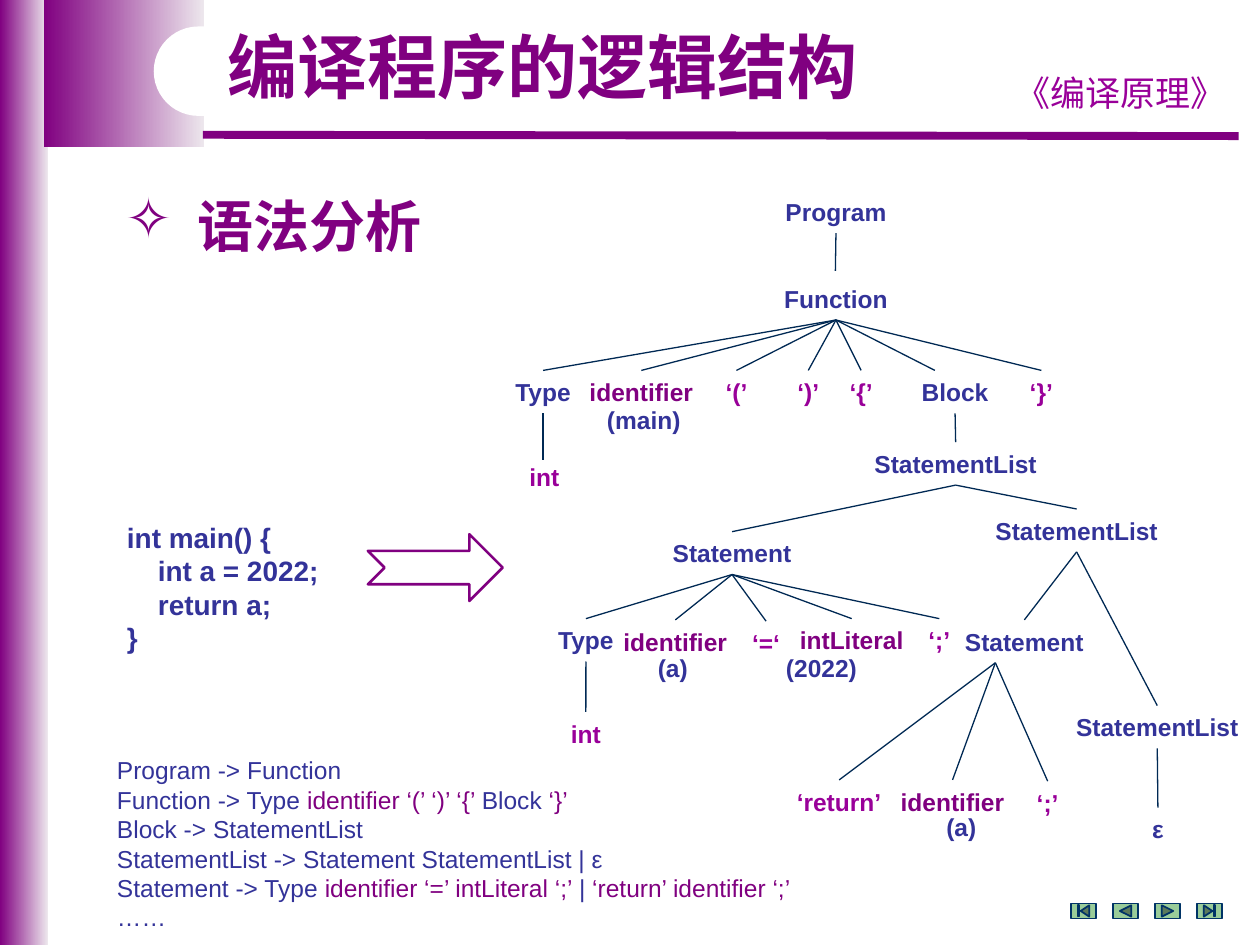
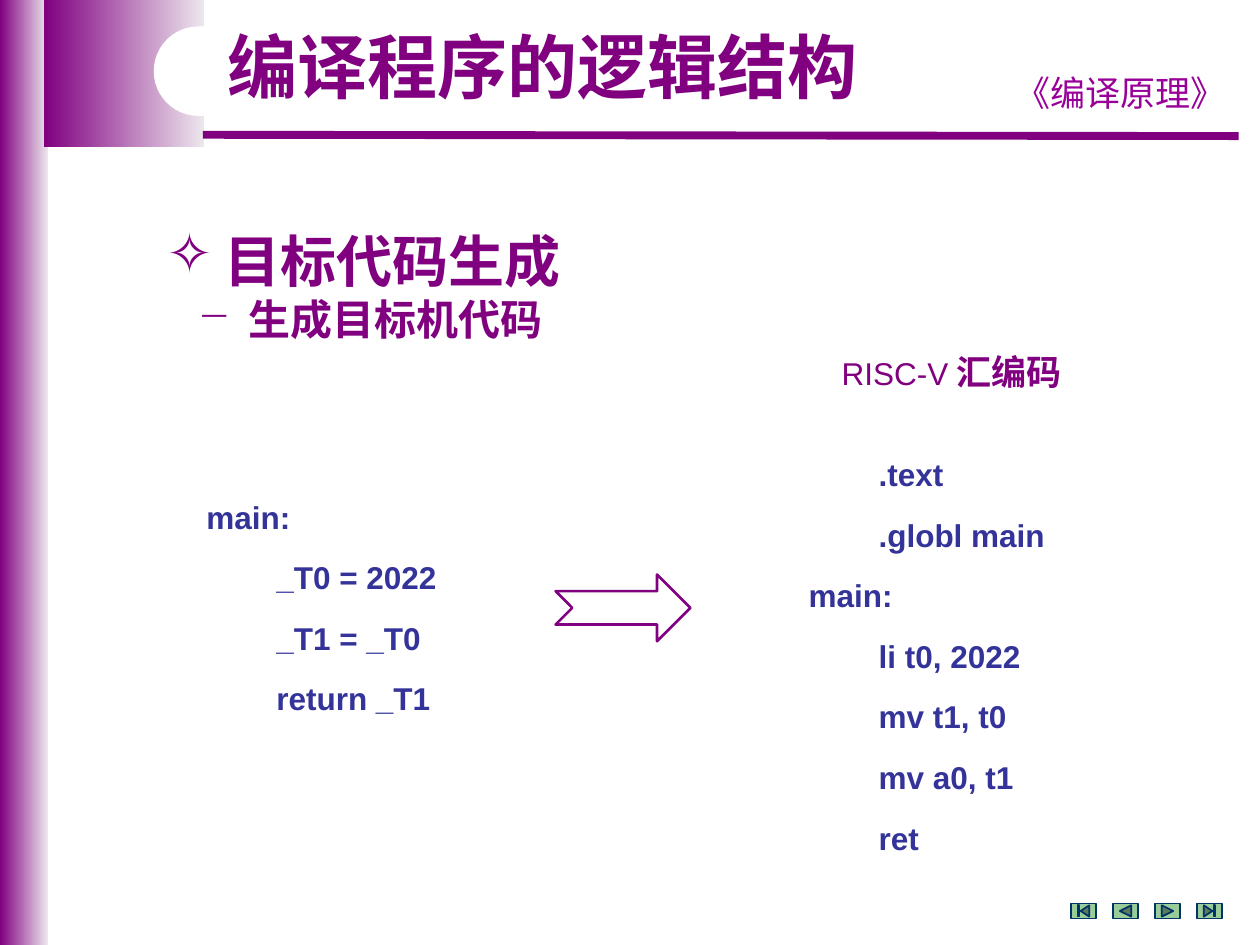
from itertools import cycle

from lxml import etree
from pptx import Presentation
from pptx.dml.color import RGBColor
from pptx.enum.shapes import MSO_CONNECTOR, MSO_SHAPE
from pptx.enum.text import MSO_ANCHOR, PP_ALIGN
from pptx.oxml.ns import qn
from pptx.util import Inches, Pt

RECT = MSO_SHAPE.RECTANGLE
PILL = MSO_SHAPE.ROUNDED_RECTANGLE
ARROW = MSO_SHAPE.NOTCHED_RIGHT_ARROW
BUTTONS = [
    MSO_SHAPE.ACTION_BUTTON_BEGINNING,
    MSO_SHAPE.ACTION_BUTTON_BACK_OR_PREVIOUS,
    MSO_SHAPE.ACTION_BUTTON_FORWARD_OR_NEXT,
    MSO_SHAPE.ACTION_BUTTON_END,
]
STRAIGHT = MSO_CONNECTOR.STRAIGHT
LEFT, CENTER = PP_ALIGN.LEFT, PP_ALIGN.CENTER
MIDDLE = MSO_ANCHOR.MIDDLE
TOP, BOTTOM = 0, 2
LATIN, HAN = "Arial", "Noto Sans CJK SC"
HUES = {
    "plum": "800080",
    "mauve": "990099",
    "navy": "333399",
    "pale": "EDE7ED",
    "white": "FFFFFF",
    "edge": "002954",
    "green": "99CC99",
    "rim": "003366",
}

NODES = {
    "program": ("Program", 6.05, 1.51, 1.17, "navy"),
    "function": ("Function", 5.57, 2.2, 2.13, "navy"),
    "type": ("Type", 3.96, 2.94, 0.7, "navy"),
    "name": ("identifier", 4.54, 2.94, 1.1, "plum"),
    "open": ("‘(’", 5.57, 2.94, 0.55, "mauve"),
    "close": ("‘)’", 6.15, 2.94, 0.53, "mauve"),
    "begin": ("‘{’", 6.57, 2.94, 0.53, "mauve"),
    "block": ("Block", 7.03, 2.94, 1.1, "navy"),
    "end": ("‘}’", 8, 2.94, 0.53, "mauve"),
    "main": ("(main)", 4.56, 3.16, 1.1, "navy"),
    "int": ("int", 3.77, 3.61, 1.1, "mauve"),
    "list": ("StatementList", 6.81, 3.51, 1.55, "navy"),
    "list 2": ("StatementList", 7.77, 4.04, 1.55, "navy"),
    "list 3": ("StatementList", 8.41, 5.6, 1.55, "navy"),
    "empty": ("ε", 8.62, 6.41, 1.14, "navy"),
    "state": ("Statement", 5.24, 4.22, 1.14, "navy"),
    "type 2": ("Type", 4.3, 4.91, 0.7, "navy"),
    "int 2": ("int", 4.1, 5.65, 1.1, "mauve"),
    "name 2": ("identifier", 4.81, 4.92, 1.1, "plum"),
    "a": ("(a)", 4.79, 5.13, 1.1, "navy"),
    "equal": ("‘=‘", 5.81, 4.93, 0.54, "mauve"),
    "value": ("intLiteral", 6.21, 4.91, 1.1, "plum"),
    "2022": ("(2022)", 5.97, 5.13, 1.1, "navy"),
    "semi": ("‘;’", 7.19, 4.91, 0.53, "mauve"),
    "state 2": ("Statement", 7.56, 4.92, 1.14, "navy"),
    "return": ("‘return’", 6.11, 6.19, 1.1, "mauve"),
    "name 3": ("identifier", 7.01, 6.19, 1.1, "plum"),
    "a 2": ("(a)", 7.08, 6.39, 1.1, "navy"),
    "semi 2": ("‘;’", 8.05, 6.2, 0.53, "mauve"),
}
TREE = {
    "program": ["function"],
    "function": ["type", "name", "open", "close", "begin", "block", "end"],
    "type": ["int"],
    "block": ["list"],
    "list": ["state", "list 2"],
    "list 2": ["state 2", "list 3"],
    "list 3": ["empty"],
    "state": ["type 2", "name 2", "equal", "value", "semi"],
    "type 2": ["int 2"],
    "state 2": ["return", "name 3", "semi 2"],
}
STARTS = {"state 2": (7.9, 5.26)}
ENDS = {"function": (6.63, 2.15), "block": (7.42, 2.94), "int": (4.31, 3.65)}

SOURCE = ["int main() {", "    int a = 2022;", "    return a;", "}"]
GRAMMAR = [
    "Program -> Function",
    ("Function -> Type ", "identifier ‘(’ ‘)’ ‘{’ ", "Block ", "‘}’"),
    "Block -> StatementList",
    "StatementList -> Statement StatementList | ε",
    ("Statement -> Type ", "identifier ‘=’ intLiteral ‘;’ ", "| ",
     "‘return’ identifier ‘;’"),
    "……",
]
MIDCODE = ["main:", "        _T0 = 2022", "        _T1 = _T0",
           "        return _T1"]
TARGET = ["        .text", "        .globl main", "main:",
          "        li t0, 2022", "        mv t1, t0", "        mv a0, t1",
          "        ret"]


def tint(name):
    return RGBColor.from_string(HUES[name])


class Deck:
    def __init__(self):
        self.file = Presentation()
        self.file.slide_width = Inches(10)
        self.file.slide_height = Inches(7.5)
        self.slide = None

    def start(self, title):
        layout = self.file.slide_layouts[6]
        self.slide = self.file.slides.add_slide(layout)
        self.band(0, 0, 0.38, 7.5)
        self.band(0.35, 0, 1.27, 1.17)
        self.line((1.61, 1.07), (9.83, 1.08), "plum", 4.5)
        self.text((7.91, 0.52, 1.97, 0.43), ["《编译原理》"], 20, "mauve",
                  font=HAN, align=CENTER)
        pill = self.shape(PILL, (1.22, 0.21, 3.62, 0.71), "white")
        pill.adjustments[0] = 0.5
        head = self.text((1.65, 0.21, 5.31, 0.7), [title], 40, "plum",
                         bold=True, align=CENTER)
        head.paragraphs[0].line_spacing = 0.9
        for i, kind in enumerate(BUTTONS):
            self.shape(kind, (8.5 + i / 3, 7.17, 0.2, 0.12), "green", "rim", 1)

    def shape(self, kind, box, fill=None, rim=None, width=1.5):
        item = self.slide.shapes.add_shape(kind, *map(Inches, box))
        item.shadow.inherit = False
        if fill:
            item.fill.solid()
            item.fill.fore_color.rgb = tint(fill)
        else:
            item.fill.background()
        if rim:
            item.line.color.rgb = tint(rim)
            item.line.width = Pt(width)
        else:
            item.line.fill.background()
        return item

    def band(self, *box):
        fill = self.shape(RECT, box).fill
        fill.gradient()
        fill.gradient_angle = 0
        for stop, name, spot in zip(fill.gradient_stops, ("plum", "pale"), (0, 1)):
            stop.color.rgb = tint(name)
            stop.position = spot

    def arrow(self, left, top):
        item = self.shape(ARROW, (left, top, 1.07, 0.53), rim="plum")
        item.adjustments[0] = 0.5
        item.adjustments[1] = 0.5

    def line(self, start, end, hue="edge", width=0.75):
        item = self.slide.shapes.add_connector(
            STRAIGHT, *map(Inches, (*start, *end)))
        item.line.color.rgb = tint(hue)
        item.line.width = Pt(width)
        etree.SubElement(item._element.spPr, qn("a:effectLst"))
        return item

    def text(self, box, paras, size, hue, bold=False, font=LATIN,
             align=LEFT, pad=0.1, gap=0):
        frame = self.slide.shapes.add_textbox(*map(Inches, box)).text_frame
        frame.word_wrap = True
        frame.vertical_anchor = MIDDLE
        frame.margin_left = frame.margin_right = Inches(pad)
        for i, parts in enumerate(paras):
            para = frame.add_paragraph() if i else frame.paragraphs[0]
            para.alignment = align
            if i:
                para.space_before = Pt(gap)
            parts = [parts] if isinstance(parts, str) else parts
            for part, name in zip(parts, cycle((hue, "plum"))):
                run = para.add_run()
                run.text = part
                self.style(run, size, name, bold, font)
        return frame

    def style(self, run, size, hue, bold, font):
        run.font.size = Pt(size)
        run.font.bold = bold
        run.font.color.rgb = tint(hue)
        run.font.name = font
        han = etree.SubElement(run._r.get_or_add_rPr(), qn("a:ea"))
        han.set("typeface", HAN)

    def bullet(self, para, mark, left, hang):
        props = para._p.get_or_add_pPr()
        props.set("marL", str(Inches(left)))
        props.set("indent", str(-Inches(hang)))
        color = etree.SubElement(props, qn("a:buClr"))
        etree.SubElement(color, qn("a:srgbClr")).set("val", HUES["plum"])
        etree.SubElement(props, qn("a:buChar")).set("char", mark)

    def tree(self):
        boxes = {}
        for key, (label, left, top, width, hue) in NODES.items():
            frame = self.text((left, top, width, 0.34), [label], 14, hue,
                              bold=True, align=CENTER, pad=0)
            boxes[key] = frame._parent
        for root, kids in TREE.items():
            for kid in kids:
                link = self.line(STARTS.get(root, (0, 0)), ENDS.get(kid, (0, 0)))
                if root not in STARTS:
                    link.begin_connect(boxes[root], BOTTOM)
                if kid not in ENDS:
                    link.end_connect(boxes[kid], TOP)


def main():
    deck = Deck()
    title = "编译程序的逻辑结构"

    deck.start(title)
    topic = deck.text((0.9, 1.47, 8.82, 0.63), ["语法分析"], 32, "plum",
                      bold=True, font=HAN)
    deck.bullet(topic.paragraphs[0], "✧", 0.57, 0.57)
    deck.arrow(2.92, 4.24)
    deck.text((0.91, 4.07, 2.13, 1.18), SOURCE, 16, "navy", bold=True)
    deck.text((0.83, 5.94, 5.68, 1.51), GRAMMAR, 14, "navy")
    deck.tree()

    deck.start(title)
    topic = deck.text((1.22, 1.7, 5.98, 1.13),
                      ["目标代码生成", "生成目标机代码"], 32, "plum", bold=True)
    deck.bullet(topic.paragraphs[0], "✧", 0.46, 0.46)
    deck.bullet(topic.paragraphs[1], "−", 0.65, 0.4)
    topic.paragraphs[1].runs[0].font.size = Pt(24)
    label = deck.text((6.68, 2.73, 1.94, 0.43), [("RISC-V", " 汇编码")], 18,
                      "plum", pad=0)
    han = label.paragraphs[0].runs[1].font
    han.size, han.bold, han.name = Pt(20), True, HAN
    deck.arrow(4.41, 4.56)
    deck.text((1.54, 3.91, 2.87, 1.82), MIDCODE, 18, "navy", bold=True, gap=13)
    deck.text((6.32, 3.59, 2.52, 3.23), TARGET, 18, "navy", bold=True, gap=13)

    deck.file.save("out.pptx")


if __name__ == "__main__":
    main()
